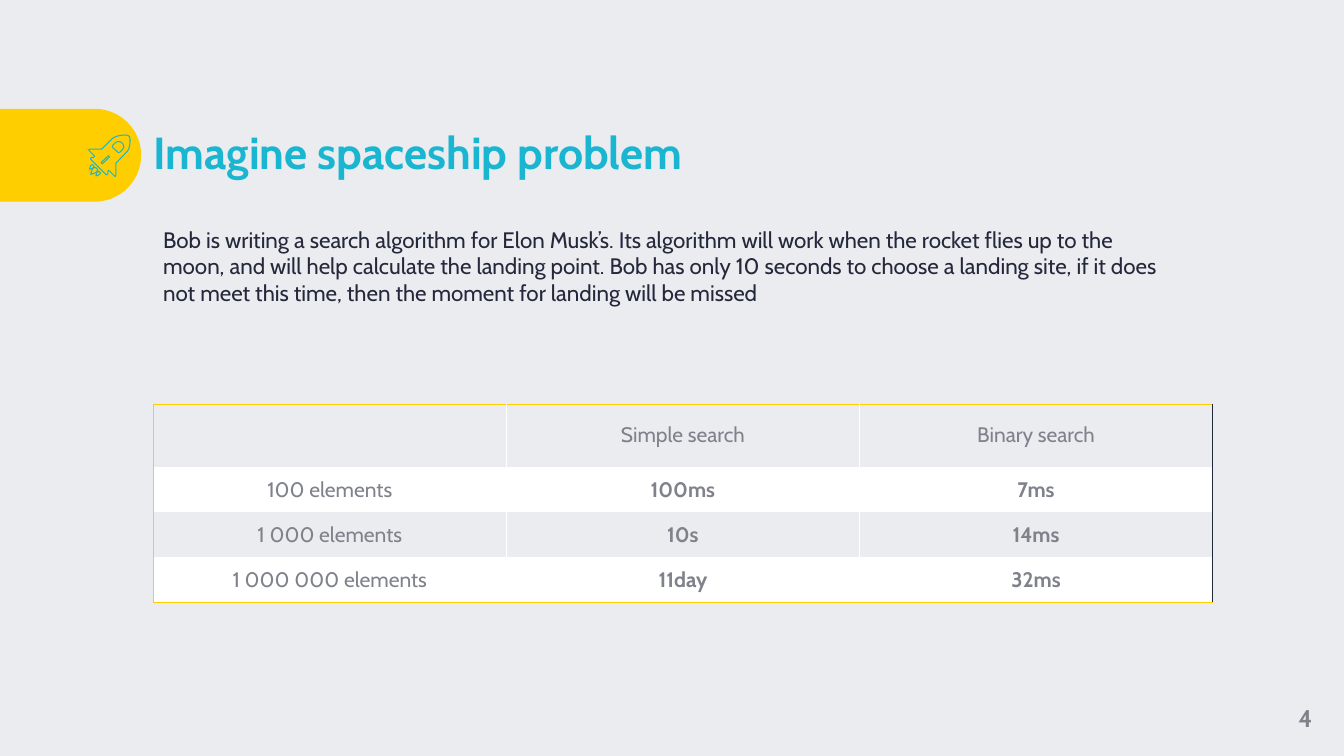
from dataclasses import dataclass
from itertools import chain

from lxml import etree
from pptx import Presentation
from pptx import util as u
from pptx.dml.color import RGBColor
from pptx.enum import shapes, text
from pptx.oxml import ns

Pt = u.Pt
BACKGROUND = RGBColor(0xEA, 0xEC, 0xF0)
YELLOW = RGBColor(0xFF, 0xCE, 0x00)
TURQUOISE = RGBColor(0x1A, 0xB6, 0xD1)
GRAY = RGBColor(0x80, 0x82, 0x8B)
NAVY = RGBColor(0x24, 0x28, 0x3B)
WHITE = RGBColor(0xFF, 0xFF, 0xFF)
FONT = "Cabin"
CONTENT_LEFT = 109.44
COLUMN_WIDTH = 252.24

Outline = list[tuple[int, int]]


@dataclass
class Drawing:
    left: float
    top: float
    unit: float
    outlines: list[Outline]


@dataclass
class Row:
    labels: tuple[str, str, str]
    height: float = 32.4
    fill: RGBColor | None = None
    top: RGBColor | None = None
    bottom: RGBColor | None = None
    bold_values: bool = True


@dataclass
class TimingTable:
    top: float
    rows: list[Row]


ROCKET_BODY = [
    (54, 80), (54, 56), (76, 33), (79, 29), (81, 22), (82, 14), (82, 8), (81, 3),
    (80, 2), (76, 0), (68, 0), (61, 1), (54, 3), (50, 5), (48, 6), (26, 28),
    (2, 28), (0, 29), (1, 31), (12, 42), (10, 44), (5, 45), (4, 46), (4, 48),
    (34, 78), (36, 79), (38, 77), (38, 72), (40, 70), (50, 80), (52, 82), (53, 82),
]
ROCKET_SLOT = [
    (28, 56), (41, 44), (41, 42), (39, 41), (38, 42), (25, 54), (25, 56), (27, 57),
]
ROCKET_WINDOW = [
    (62, 34), (60, 35), (58, 34), (48, 25), (47, 23), (48, 20), (53, 15),
    (58, 13), (62, 13), (67, 16), (69, 20), (70, 24), (67, 29),
]
FLAME = [
    (0, 20), (2, 12), (5, 5), (8, 2), (12, 0), (16, 2),
    (18, 4), (20, 8), (18, 12), (15, 15), (8, 18),
]
ICON = [
    Drawing(63.36, 96.48, 0.36, [ROCKET_BODY, ROCKET_SLOT, ROCKET_WINDOW]),
    Drawing(64.8, 119.5, 0.25, [FLAME]),
    Drawing(68.5, 122.4, 0.16, [FLAME]),
    Drawing(64.0, 117.6, 0.16, [FLAME]),
]
TABLES = [
    TimingTable(288.72, [
        Row(("", "Simple search", "Binary search"), 44.6, top=YELLOW, bold_values=False),
        Row(("100 elements", "100ms", "7ms"), fill=WHITE),
    ]),
    TimingTable(365.72, [
        Row(("1 000 elements", "10s", "14ms")),
        Row(("1 000 000 elements", "11day", "32ms"), fill=WHITE, bottom=YELLOW),
    ]),
]


def write(frame, wording: str, *, size: float, color: RGBColor, bold: bool = False,
          align=text.PP_ALIGN.LEFT, spacing: float | None = None) -> None:
    paragraph = frame.paragraphs[0]
    paragraph.alignment = align
    paragraph.line_spacing = spacing
    run = paragraph.add_run()
    run.text = wording
    run.font.name = FONT
    run.font.size = Pt(size)
    run.font.bold = bold
    run.font.color.rgb = color


def add_text(slide, left: float, top: float, width: float, height: float, wording: str,
             *, inset: tuple[float, float] = (0, 0),
             anchor=text.MSO_ANCHOR.MIDDLE, **style) -> None:
    box = slide.shapes.add_textbox(Pt(left), Pt(top), Pt(width), Pt(height))
    frame = box.text_frame
    frame.word_wrap = True
    frame.vertical_anchor = anchor
    frame.margin_left = frame.margin_right = Pt(inset[0])
    frame.margin_top = frame.margin_bottom = Pt(inset[1])
    write(frame, wording, **style)


def add_tab(slide) -> None:
    shape = slide.shapes.add_shape(
        shapes.MSO_SHAPE.ROUND_2_SAME_RECTANGLE, Pt(17.28), Pt(60.48), Pt(66.24), Pt(100.8))
    shape.adjustments[0] = 0.5
    shape.adjustments[1] = 0
    shape.rotation = 90
    shape.shadow.inherit = False
    shape.fill.solid()
    shape.fill.fore_color.rgb = YELLOW
    shape.line.fill.background()


def add_drawing(slide, drawing: Drawing) -> None:
    first, *others = drawing.outlines
    builder = slide.shapes.build_freeform(*first[0], scale=Pt(drawing.unit))
    builder.add_line_segments(first[1:], close=True)
    for outline in others:
        builder.move_to(*outline[0])
        builder.add_line_segments(outline[1:], close=True)
    shape = builder.convert_to_shape(Pt(drawing.left), Pt(drawing.top))
    shape.shadow.inherit = False
    shape.fill.background()
    shape.line.color.rgb = TURQUOISE
    shape.line.width = Pt(0.75)


def set_border(cell, side: str, color: RGBColor | None, width: float = 0.75) -> None:
    properties = cell._tc.get_or_add_tcPr()
    line = etree.SubElement(properties, ns.qn(f"a:ln{side}"), w=str(Pt(width)))
    if color is None:
        etree.SubElement(line, ns.qn("a:noFill"))
    else:
        fill = etree.SubElement(line, ns.qn("a:solidFill"))
        etree.SubElement(fill, ns.qn("a:srgbClr"), val=str(color))


def format_cell(cell, row: Row, column: int) -> None:
    last = len(row.labels) - 1
    set_border(cell, "L", YELLOW if column == 0 else WHITE)
    if column == last:
        set_border(cell, "R", NAVY, 1)
    else:
        set_border(cell, "R", WHITE)
    set_border(cell, "T", row.top)
    set_border(cell, "B", row.bottom)
    if row.fill is None:
        cell.fill.background()
    else:
        cell.fill.solid()
        cell.fill.fore_color.rgb = row.fill
    cell.vertical_anchor = text.MSO_ANCHOR.MIDDLE
    cell.margin_left = cell.margin_right = Pt(9.36)
    cell.margin_top = cell.margin_bottom = Pt(7.2)
    if row.labels[column]:
        write(cell.text_frame, row.labels[column], size=15, color=GRAY,
              bold=row.bold_values and column > 0, align=text.PP_ALIGN.CENTER)


def add_timing_table(slide, timing: TimingTable) -> None:
    columns = len(timing.rows[0].labels)
    height = sum(row.height for row in timing.rows)
    table = slide.shapes.add_table(
        len(timing.rows), columns, Pt(CONTENT_LEFT), Pt(timing.top),
        Pt(COLUMN_WIDTH * columns), Pt(height)).table
    table.first_row = table.horz_banding = False
    for column in table.columns:
        column.width = Pt(COLUMN_WIDTH)
    for index, row in enumerate(timing.rows):
        table.rows[index].height = Pt(row.height)
        for column in range(columns):
            format_cell(table.cell(index, column), row, column)


def main() -> None:
    presentation = Presentation()
    presentation.slide_width, presentation.slide_height = Pt(960), Pt(540)
    slide = presentation.slides.add_slide(presentation.slide_layouts[6])
    slide.background.fill.solid()
    slide.background.fill.fore_color.rgb = BACKGROUND
    add_tab(slide)
    add_text(slide, CONTENT_LEFT, 77.76, 756.72, 66.24, "Imagine spaceship problem",
             size=32, color=TURQUOISE, bold=True, spacing=0.9)
    add_text(slide, 905, 486, 55, 54, "4", size=17.3, color=GRAY, bold=True,
             align=text.PP_ALIGN.CENTER)
    for drawing in ICON:
        add_drawing(slide, drawing)
    add_text(slide, CONTENT_LEFT, 157.68, 733.68, 65.52,
             "Bob is writing a search algorithm for Elon Musk’s. Its algorithm will work when "
             "the rocket flies up to the moon, and will help calculate the landing point. Bob "
             "has only 10 seconds to choose a landing site, if it does not meet this time, "
             "then the moment for landing will be missed",
             inset=(7.2, 3.6), anchor=text.MSO_ANCHOR.TOP, size=16, color=NAVY)
    for timing in TABLES:
        add_timing_table(slide, timing)
    presentation.save("out.pptx")


if __name__ == "__main__":
    main()
